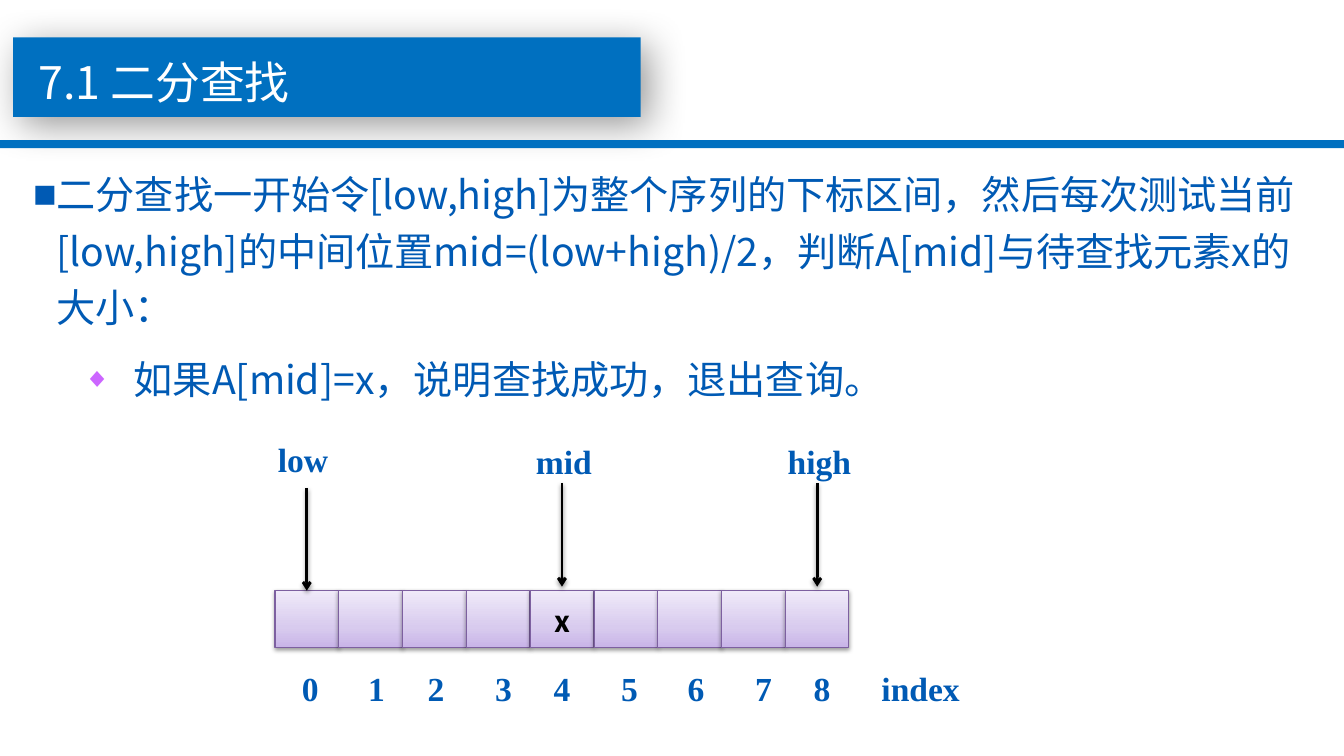
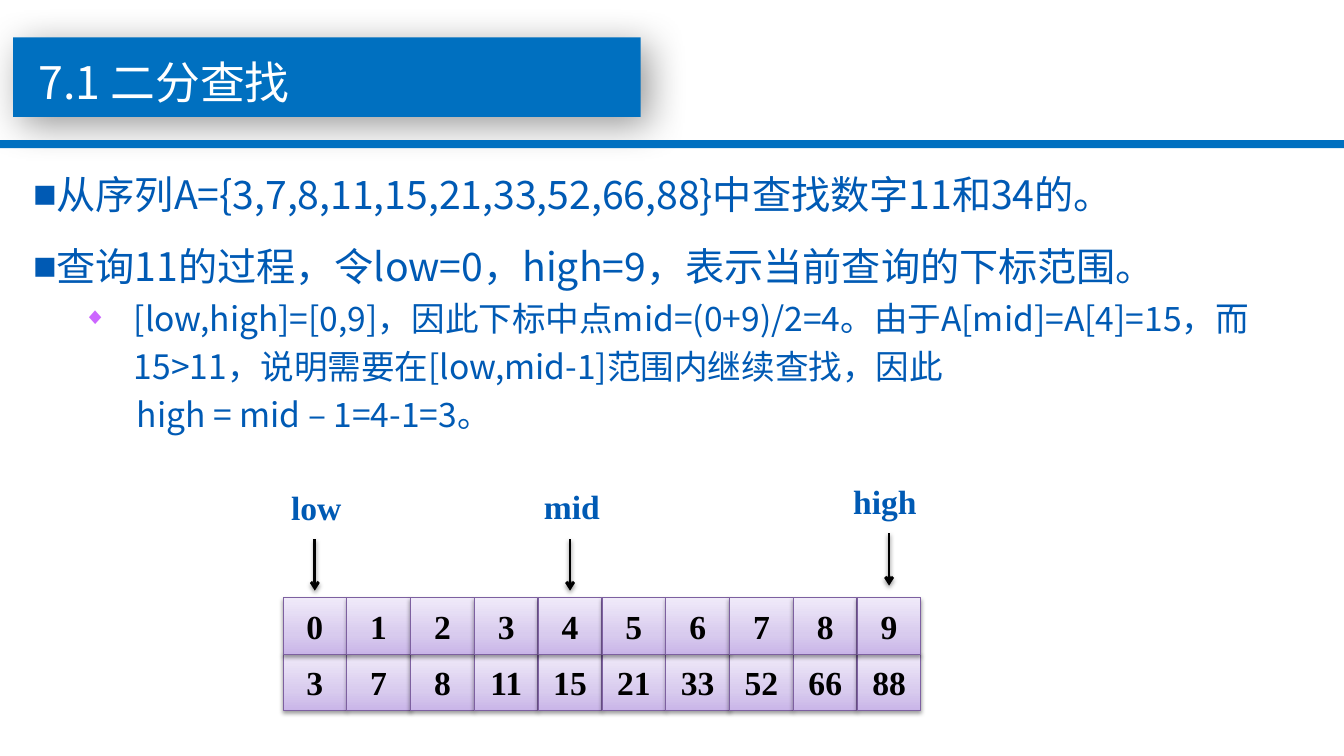
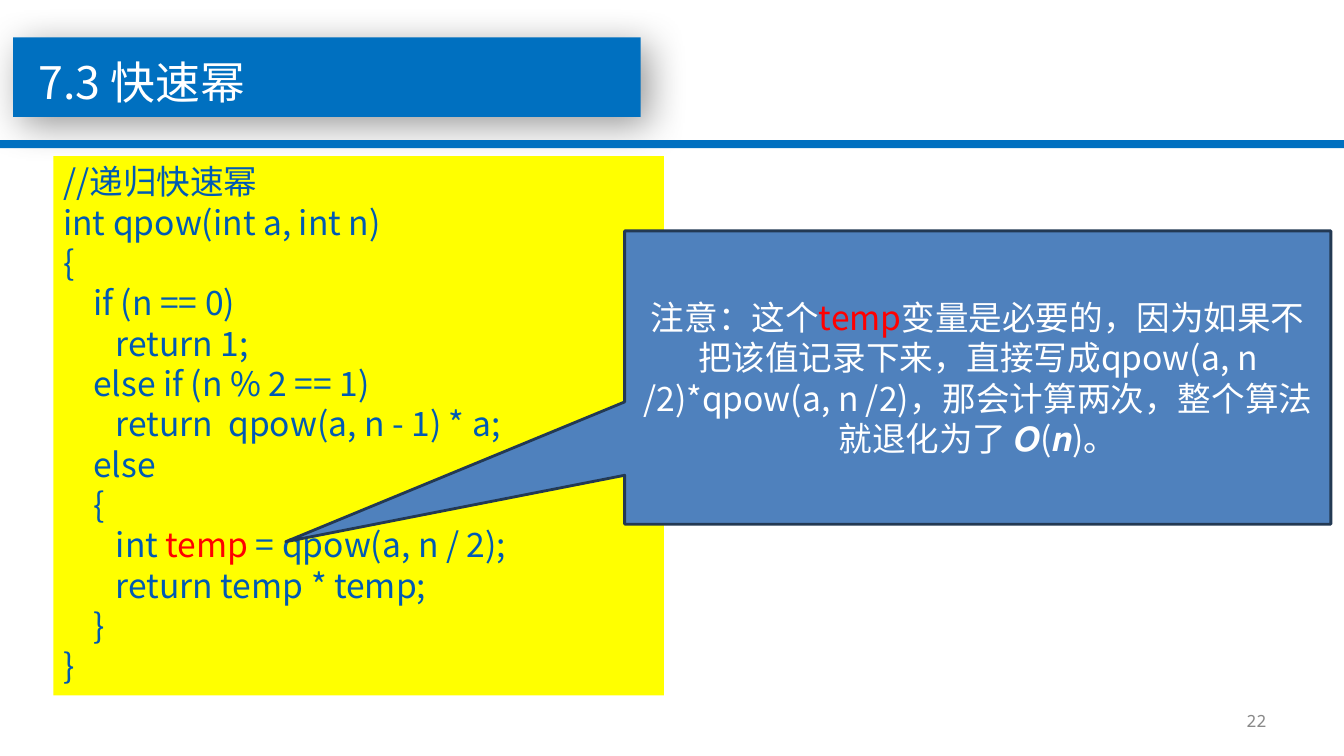
from dataclasses import dataclass, replace

from lxml.etree import SubElement
from pptx import Presentation
from pptx.dml.color import RGBColor
from pptx.enum.shapes import MSO_CONNECTOR as Connector, MSO_SHAPE as Preset
from pptx.enum.text import MSO_ANCHOR as Anchor, MSO_AUTO_SIZE as AutoSize, PP_ALIGN as Align
from pptx.oxml.ns import qn
from pptx.util import Inches, Pt


@dataclass(frozen=True)
class Style:
    size: int
    font: str
    color: str
    bold: bool = False


class Theme:
    blue, text, white, black = "0070C0", "005AB4", "FFFFFF", "000000"
    red, yellow, gray, diamond = "FF0000", "FFFF00", "898989", "CC66FF"
    callout, callout_line, cell_line = "4F81BD", "233953", "7D60A0"
    cell_stops = ((0, "C9B5E8"), (35, "D8CBEE"), (100, "F0EAF9"))
    # blur and distance in points, direction in degrees, opacity in percent
    band_shadow = (28, 8, 45, 40)
    soft_shadow = (3.1, 1.6, 90, 38)

    sans, serif = "Noto Sans CJK SC", "Times New Roman"
    title = Style(32, sans, white)
    body = Style(28, sans, text)
    detail = Style(24, sans, text)
    note = Style(24, sans, white)
    label = Style(24, serif, text, True)
    cell = Style(24, serif, black, True)
    found = Style(24, "Calibri", black, True)
    number = Style(12, "Noto Sans Mono", gray)


CELL_WIDTH, CELL_HEIGHT, CELL_PITCH = 0.63, 0.56, 5.7 / 9


# Formatting helpers
def rgb(value):
    return RGBColor.from_string(value)


def write(para, text, style):
    span = para.add_run()
    span.text = text
    font = span.font
    font.size, font.name, font.bold = Pt(style.size), style.font, style.bold
    font.color.rgb = rgb(style.color)
    SubElement(font._element, qn("a:ea"), typeface=style.font)


def write_marked(para, pieces, style):
    """Write pieces of text, with every second piece in red."""
    for position, piece in enumerate(pieces):
        write(para, piece, replace(style, color=Theme.red) if position % 2 else style)


def add_shadow(shape, blur, distance, direction, opacity):
    properties = shape.element.spPr
    effects = properties.find(qn("a:effectLst"))
    if effects is None:
        effects = SubElement(properties, qn("a:effectLst"))
    shadow = SubElement(effects, qn("a:outerShdw"), blurRad=str(Pt(blur)), dist=str(Pt(distance)),
                        dir=str(direction * 60000), algn="ctr", rotWithShape="0")
    color = SubElement(shadow, qn("a:srgbClr"), val=Theme.black)
    SubElement(color, qn("a:alpha"), val=str(opacity * 1000))


def set_bullet(para, left, hanging, char=None, color=None, percent=100):
    properties = para._p.get_or_add_pPr()
    properties.set("marL", str(Inches(left)))
    properties.set("indent", str(-Inches(hanging)))
    if char is None:
        SubElement(properties, qn("a:buNone"))
        return
    SubElement(SubElement(properties, qn("a:buClr")), qn("a:srgbClr"), val=color)
    SubElement(properties, qn("a:buSzPct"), val=str(percent * 1000))
    SubElement(properties, qn("a:buFont"), typeface=Theme.serif)
    SubElement(properties, qn("a:buChar"), char=char)


# Kinds of element
def add_block(shapes, preset, left, top, width, height, fill=None, line=None, line_width=0.75):
    block = shapes.add_shape(preset, Inches(left), Inches(top), Inches(width), Inches(height))
    block.shadow.inherit = False
    if fill:
        block.fill.solid()
        block.fill.fore_color.rgb = rgb(fill)
    if line:
        block.line.color.rgb = rgb(line)
        block.line.width = Pt(line_width)
    else:
        block.line.fill.background()
    return block


def add_text(page, left, top, width, height, wrap=True, grow=True):
    box = page.shapes.add_textbox(Inches(left), Inches(top), Inches(width), Inches(height))
    frame = box.text_frame
    frame.word_wrap = wrap
    frame.auto_size = AutoSize.SHAPE_TO_FIT_TEXT if grow else AutoSize.NONE
    return box


def next_para(frame, is_first):
    return frame.paragraphs[0] if is_first else frame.add_paragraph()


def add_label(page, text, left, top, width):
    box = add_text(page, left, top, width, 0.5, wrap=False)
    write(box.text_frame.paragraphs[0], text, Theme.label)


def add_body(page, height, items):
    """Items are (kind, text, style, space before in points)."""
    bullets = {
        "main": (0.23, 0.23, "■", Theme.text),
        "sub": (1, 0.5, "◆", Theme.diamond, 70),
        "plain": (1.03, 0),
    }
    frame = add_text(page, 0.23, 1.55, 12.74, height).text_frame
    for position, (kind, text, style, space) in enumerate(items):
        para = next_para(frame, position == 0)
        para.line_spacing = 1.2
        if space:
            para.space_before = Pt(space)
        set_bullet(para, *bullets[kind])
        write(para, text, style)


def add_cells(shapes, left, top, values, style):
    cells = []
    for column, value in enumerate(values):
        cell = add_block(shapes, Preset.RECTANGLE, left + column * CELL_PITCH, top,
                         CELL_WIDTH, CELL_HEIGHT, line=Theme.cell_line)
        cell.fill.gradient()
        cell.fill.gradient_angle = 90
        stops = cell.element.spPr.find(qn("a:gradFill")).find(qn("a:gsLst"))
        stops.clear()
        for place, color in Theme.cell_stops:
            stop = SubElement(stops, qn("a:gs"), pos=str(place * 1000))
            SubElement(stop, qn("a:srgbClr"), val=color)
        add_shadow(cell, *Theme.soft_shadow)
        if value:
            frame = cell.text_frame
            frame.vertical_anchor = Anchor.MIDDLE
            para = frame.paragraphs[0]
            para.alignment = Align.CENTER
            write(para, value, style)
        cells.append(cell)
    return cells


def add_pointer(page, cell, top, bottom):
    """Draw an arrow down towards the middle of a cell."""
    center = cell.left + cell.width // 2
    arrow = page.shapes.add_connector(Connector.STRAIGHT, center, Inches(top), center, Inches(bottom))
    if Inches(bottom) == cell.top:
        arrow.end_connect(cell, 0)
    arrow.line.color.rgb = rgb(Theme.black)
    arrow.line.width = Pt(2)
    SubElement(arrow.line._get_or_add_ln(), qn("a:tailEnd"), type="arrow")
    add_shadow(arrow, *Theme.soft_shadow)


# Shared parts
def add_bands(layout, page):
    """Draw the title bands and hand them to the layout, behind its placeholders."""
    title_band = add_block(page.shapes, Preset.RECTANGLE, 0.13, 0.37, 6.23, 0.79, Theme.blue)
    add_shadow(title_band, *Theme.band_shadow)
    rule = add_block(page.shapes, Preset.RECTANGLE, 0, 1.39, 13.34, 0.08, Theme.blue)
    for position, band in enumerate((title_band, rule), start=2):
        layout.shapes.element.insert(position, band.element)


def add_page(deck, title):
    layout = deck.slide_layouts[5]
    page = deck.slides.add_slide(layout)
    if len(deck.slides) == 1:
        add_bands(layout, page)
    box = page.shapes.title
    box.left, box.top, box.width, box.height = map(Inches, (0.28, 0.28, 5.51, 0.77))
    frame = box.text_frame
    frame.word_wrap = True
    frame.auto_size = AutoSize.SHAPE_TO_FIT_TEXT
    frame.vertical_anchor = Anchor.TOP
    para = frame.paragraphs[0]
    para.alignment = Align.LEFT
    para.line_spacing = 1.4
    write(para, title, Theme.title)
    return page


# Slides
def build_search_idea(deck):
    page = add_page(deck, "7.1 二分查找")
    add_body(page, 2.5, [
        ("main", "二分查找一开始令[low,high]为整个序列的下标区间，然后每次测试当前[low,high]的中间位置"
                 "mid=(low+high)/2，判断A[mid]与待查找元素x的大小：", Theme.body, 0),
        ("sub", "如果A[mid]=x，说明查找成功，退出查询。", Theme.body, 11),
    ])
    values = ["x" if column == 4 else "" for column in range(9)]
    cells = add_cells(page.shapes, 2.73, 5.86, values, Theme.found)

    # Index row, centred on tab stops
    para = add_text(page, 2.73, 6.58, 7.72, 0.5).text_frame.paragraphs[0]
    stops = SubElement(para._p.get_or_add_pPr(), qn("a:tabLst"))
    for center in (0.25, 0.91, 1.5, 2.17, 2.75, 3.42, 4.08, 4.75, 5.33, 6.31):
        SubElement(stops, qn("a:tab"), pos=str(Inches(center)), algn="ctr")
    for name in (*range(9), "index"):
        write(para, f"\t{name}", Theme.label)

    for column, top, bottom in ((0, 4.84, 5.86), (4, 4.79, 5.82), (8, 4.79, 5.82)):
        add_pointer(page, cells[column], top, bottom)
    add_label(page, "low", 2.66, 4.31, 0.76)
    add_label(page, "mid", 5.22, 4.33, 0.76)
    add_label(page, "high", 7.72, 4.33, 0.84)


def build_search_example(deck):
    page = add_page(deck, "7.1 二分查找")
    add_body(page, 2.83, [
        ("main", "从序列A={3,7,8,11,15,21,33,52,66,88}中查找数字11和34的。", Theme.body, 0),
        ("main", "查询11的过程，令low=0，high=9，表示当前查询的下标范围。", Theme.body, 11),
        ("sub", "[low,high]=[0,9]，因此下标中点mid=(0+9)/2=4。由于A[mid]=A[4]=15，而15>11，"
                "说明需要在[low,mid-1]范围内继续查找，因此", Theme.detail, 0),
        ("plain", "high = mid – 1=4-1=3。", Theme.detail, 0),
    ])
    add_label(page, "low", 2.79, 4.78, 0.71)
    add_label(page, "mid", 5.3, 4.77, 0.76)
    add_label(page, "high", 8.37, 4.72, 0.84)

    # Values below their indexes
    numbers = (3, 7, 8, 11, 15, 21, 33, 52, 66, 88)
    grid = page.shapes.add_group_shape()
    add_cells(grid.shapes, 2.81, 6.49, map(str, numbers), Theme.cell)
    indexes = add_cells(grid.shapes, 2.81, 5.93, map(str, range(len(numbers))), Theme.cell)
    for column, top, bottom in ((0, 5.35, 5.86), (4, 5.35, 5.86), (9, 5.29, 5.81)):
        add_pointer(page, indexes[column], top, bottom)


def build_fast_power(deck):
    page = add_page(deck, "7.3 快速幂")

    # Page number
    frame = add_text(page, 9.56, 6.95, 3.11, 0.4, grow=False).text_frame
    frame.vertical_anchor = Anchor.MIDDLE
    frame.paragraphs[0].alignment = Align.RIGHT
    write(frame.paragraphs[0], "22", Theme.number)

    # Code listing
    code = (
        ["//递归快速幂"],
        ["int qpow(int a, int n)"],
        ["{"],
        ["    if (n == 0)"],
        ["       return 1;"],
        ["    else if (n % 2 == 1)"],
        ["       return  qpow(a, n - 1) * a;"],
        ["    else"],
        ["    {"],
        ["       int ", "temp", " = qpow(a, n / 2);"],
        ["       return temp * temp;"],
        ["    }"],
        ["}"],
    )
    listing = add_text(page, 0.53, 1.55, 6.06, 5.35)
    listing.fill.solid()
    listing.fill.fore_color.rgb = rgb(Theme.yellow)
    for position, pieces in enumerate(code):
        write_marked(next_para(listing.text_frame, position == 0), pieces, Theme.detail)

    # Remark pointing at the temp line
    remark = add_block(page.shapes, Preset.RECTANGULAR_CALLOUT, 6.2, 2.29, 7.01, 2.91,
                       Theme.callout, Theme.callout_line, 2)
    remark.adjustments[0], remark.adjustments[1] = -0.98, 0.56
    frame = remark.text_frame
    frame.word_wrap = True
    frame.vertical_anchor = Anchor.MIDDLE
    frame.paragraphs[0].alignment = Align.CENTER
    write_marked(frame.paragraphs[0], (
        "注意：这个", "temp",
        "变量是必要的，因为如果不把该值记录下来，直接写成qpow(a, n /2)*qpow(a, n /2)，"
        "那会计算两次，整个算法就退化为了 𝑶(𝒏)。"), Theme.note)


def main():
    deck = Presentation()
    deck.slide_width, deck.slide_height = Inches(13.34), Inches(7.5)
    build_search_idea(deck)
    build_search_example(deck)
    build_fast_power(deck)
    deck.save("out.pptx")


if __name__ == "__main__":
    main()
